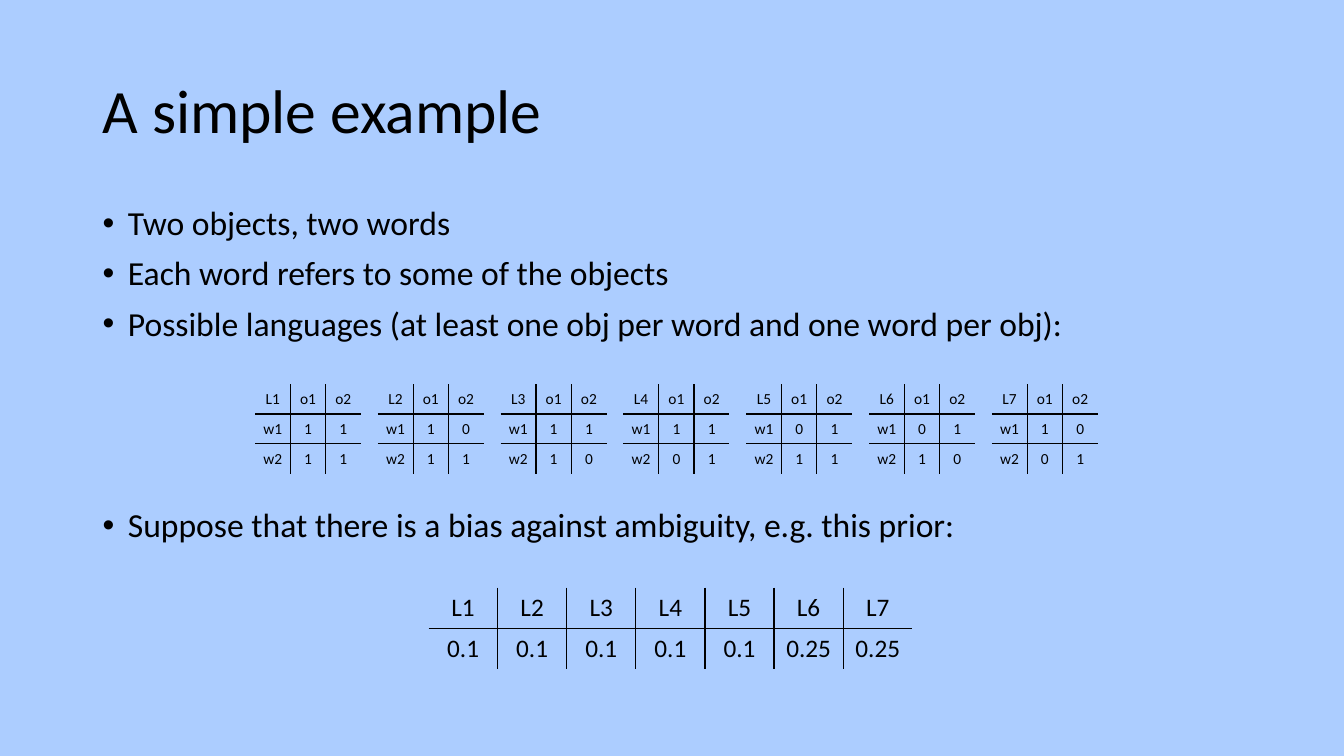
from lxml import etree
from pptx import Presentation
from pptx.dml.color import RGBColor
from pptx.enum import text
from pptx.oxml import ns
from pptx.util import Inches, Pt

BLACK = RGBColor(0x00, 0x00, 0x00)
SKY = RGBColor(0xAC, 0xCD, 0xFF)
PLAIN_TABLE = "{2D5ABB26-0587-4C30-8999-92F81FD0307C}"


def add_span(para, words, size):
    span = para.add_run()
    span.text = words
    span.font.name = "Calibri"
    span.font.size = Pt(size)
    span.font.color.rgb = BLACK


def add_grid(page, rows, left, top, width, height, size, margins):
    """Add a table that has lines only between its cells."""
    row_count, column_count = len(rows), len(rows[0])
    table = page.shapes.add_table(row_count, column_count, Inches(left), Inches(top),
                                  Inches(width), Inches(height)).table
    table.first_row = table.horz_banding = False
    table._tbl.tblPr.find(ns.qn("a:tableStyleId")).text = PLAIN_TABLE
    for r, row in enumerate(rows):
        for c, words in enumerate(row):
            cell = table.cell(r, c)
            cell.vertical_anchor = text.MSO_ANCHOR.MIDDLE
            cell.margin_left = cell.margin_right = Inches(margins[0])
            cell.margin_top = cell.margin_bottom = Inches(margins[1])
            para = cell.text_frame.paragraphs[0]
            para.alignment = text.PP_ALIGN.CENTER
            add_span(para, words, size)

            # Inner borders
            inner = {"a:lnL": c > 0, "a:lnR": c < column_count - 1,
                     "a:lnT": r > 0, "a:lnB": r < row_count - 1}
            properties = cell._tc.get_or_add_tcPr()
            for side, shown in inner.items():
                if shown:
                    line = etree.SubElement(properties, ns.qn(side), w=str(Pt(1)))
                    fill = etree.SubElement(line, ns.qn("a:solidFill"))
                    etree.SubElement(fill, ns.qn("a:srgbClr"), val=str(BLACK))
            cell.fill.background()


deck = Presentation()
deck.slide_width, deck.slide_height = Inches(13.33), Inches(7.5)
page = deck.slides.add_slide(deck.slide_layouts[6])
page.background.fill.solid()
page.background.fill.fore_color.rgb = SKY

# Title
title = page.shapes.add_textbox(Inches(0.92), Inches(0.4), Inches(11.5), Inches(1.45))
title.text_frame.word_wrap = True
title.text_frame.vertical_anchor = text.MSO_ANCHOR.MIDDLE
heading = title.text_frame.paragraphs[0]
heading.line_spacing = 0.9
add_span(heading, "A simple example", 44)

# Bullets, with room for the language tables before the last one
bullets = [
    ("Two objects, two words", 0),
    ("Each word refers to some of the objects", 10),
    ("Possible languages (at least one obj per word and one word per obj):", 10),
    ("Suppose that there is a bias against ambiguity, e.g. this prior:", 118),
]
body = page.shapes.add_textbox(Inches(0.92), Inches(2), Inches(11.5), Inches(4.76))
body.text_frame.word_wrap = True
for number, (words, space) in enumerate(bullets):
    para = body.text_frame.add_paragraph() if number else body.text_frame.paragraphs[0]
    para.line_spacing = 0.9
    para.space_before = Pt(space)
    properties = para._p.get_or_add_pPr()
    properties.set("marL", str(Inches(0.25)))
    properties.set("indent", str(-Inches(0.25)))
    etree.SubElement(properties, ns.qn("a:buFont"), typeface="Arial")
    etree.SubElement(properties, ns.qn("a:buChar"), char="•")
    add_span(para, words, 24)

# Language tables: the digits of w1, then of w2
languages = ["11 11", "10 11", "11 10", "11 01", "01 11", "01 10", "10 01"]
names = [f"L{number}" for number in range(1, len(languages) + 1)]
for index, (name, digits) in enumerate(zip(names, languages)):
    w1, w2 = digits.split()
    rows = [[name, "o1", "o2"], ["w1", *w1], ["w2", *w2]]
    add_grid(page, rows, 2.53 + index * 1.218, 3.81, 1.05, 0.89, 11, (0.06, 0.03))

# Prior
prior = ["0.1"] * 5 + ["0.25"] * 2
add_grid(page, [names, prior], 4.25, 5.83, 4.8, 0.81, 18, (0.1, 0.05))

deck.save("out.pptx")
